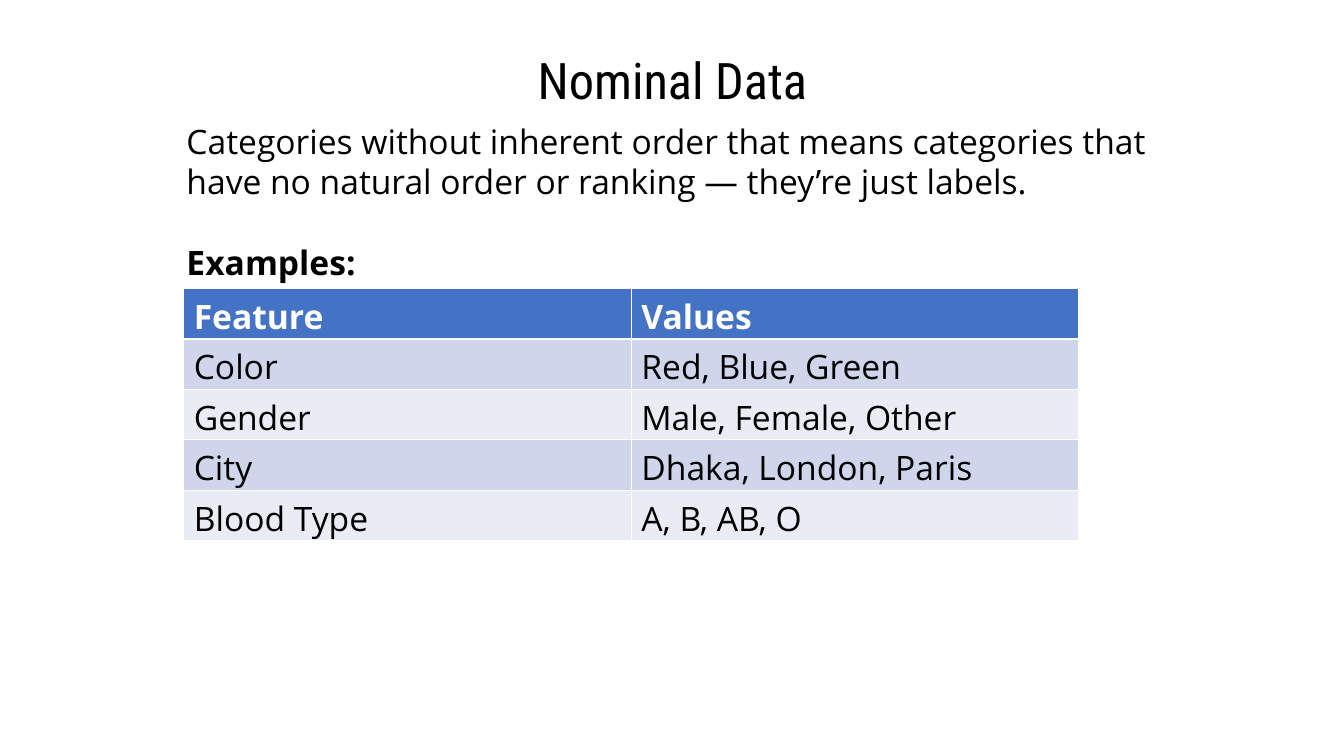
"""Build the slide that explains nominal data with a table of examples."""
import pptx
import pptx.dml.color
import pptx.enum.text
import pptx.util

Cm = pptx.util.Cm
Pt = pptx.util.Pt


def color(hex_string):
    return pptx.dml.color.RGBColor.from_string(hex_string)


class SlideBuilder:
    body_font = "Open Sans"
    title_font = "Roboto Condensed"
    body_size = 24
    title_size = 36
    ink = "000000"
    header_ink = "FFFFFF"
    header_fill = "4472C4"
    band_fills = ("CFD5EA", "E9EBF5")

    def __init__(self, presentation):
        self.slide = presentation.slides.add_slide(presentation.slide_layouts[6])

    def add_run(self, paragraph, text, font=body_font, size=body_size, bold=False, ink=ink):
        run = paragraph.add_run()
        run.text = text
        run.font.name = font
        run.font.size = Pt(size)
        run.font.bold = bold
        run.font.color.rgb = color(ink)

    def add_text_box(self, left, top, width, height):
        shape = self.slide.shapes.add_textbox(Cm(left), Cm(top), Cm(width), Cm(height))
        shape.text_frame.word_wrap = True
        return shape.text_frame

    def add_title(self, text, left, top, width, height):
        paragraph = self.add_text_box(left, top, width, height).paragraphs[0]
        paragraph.alignment = pptx.enum.text.PP_ALIGN.CENTER
        self.add_run(paragraph, text, self.title_font, self.title_size)

    def add_definition(self, definition, label, left, top, width, height):
        text_frame = self.add_text_box(left, top, width, height)
        self.add_run(text_frame.paragraphs[0], definition)
        paragraph = text_frame.add_paragraph()
        paragraph.space_before = Pt(29)
        self.add_run(paragraph, label, bold=True)

    def add_table(self, rows, left, top, column_width, row_height):
        columns = len(rows[0])
        table = self.slide.shapes.add_table(
            len(rows), columns, Cm(left), Cm(top),
            Cm(column_width * columns), Cm(row_height * len(rows))).table
        for row_index, texts in enumerate(rows):
            header = row_index == 0
            fill = self.header_fill if header else self.band_fills[(row_index - 1) % 2]
            for column_index, text in enumerate(texts):
                cell = table.cell(row_index, column_index)
                cell.vertical_anchor = pptx.enum.text.MSO_ANCHOR.MIDDLE
                cell.fill.solid()
                cell.fill.fore_color.rgb = color(fill)
                self.add_run(cell.text_frame.paragraphs[0], text, bold=header,
                             ink=self.header_ink if header else self.ink)


def main():
    presentation = pptx.Presentation()
    presentation.slide_width = Cm(33.87)
    presentation.slide_height = Cm(19.05)
    builder = SlideBuilder(presentation)
    builder.add_title("Nominal Data", 4.45, 1.12, 25, 1.8)
    builder.add_definition(
        "Categories without inherent order that means categories that have no "
        "natural order or ranking — they’re just labels.",
        "Examples:", 4.45, 2.92, 25, 4.37)
    builder.add_table([
        ("Feature", "Values"),
        ("Color", "Red, Blue, Green"),
        ("Gender", "Male, Female, Other"),
        ("City", "Dhaka, London, Paris"),
        ("Blood Type", "A, B, AB, O"),
    ], 4.63, 7.27, 11.28, 1.27)
    presentation.save("out.pptx")


if __name__ == "__main__":
    main()
